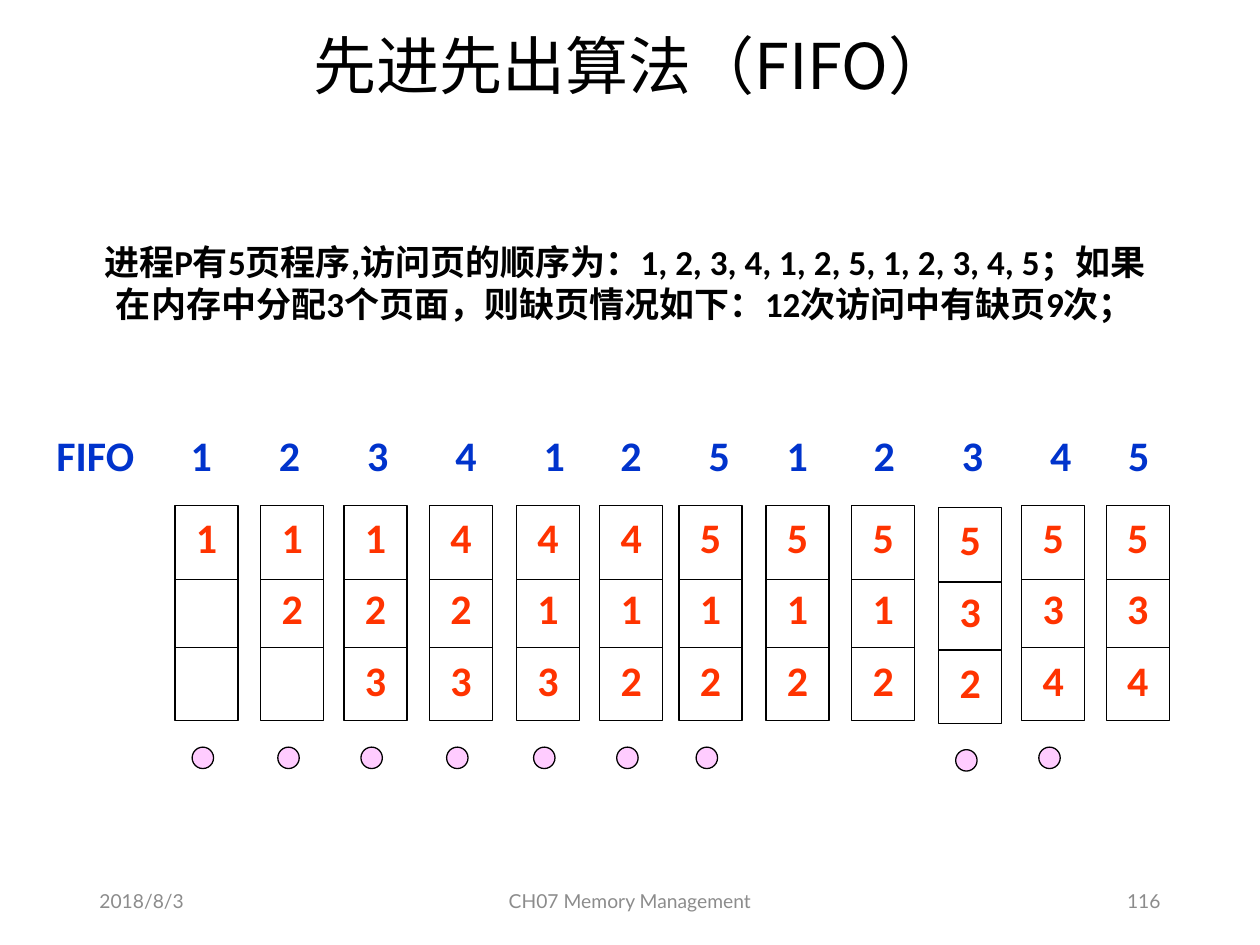
"""Build the FIFO page replacement slide."""
from lxml import etree
from pptx import Presentation
from pptx.dml.color import RGBColor
from pptx.enum.shapes import MSO_CONNECTOR, MSO_SHAPE
from pptx.enum.text import MSO_ANCHOR, PP_ALIGN
from pptx.oxml.ns import qn
from pptx.util import Inches, Pt

LEFT, CENTER, RIGHT = PP_ALIGN.LEFT, PP_ALIGN.CENTER, PP_ALIGN.RIGHT
TOP, MIDDLE = MSO_ANCHOR.TOP, MSO_ANCHOR.MIDDLE
RECT, OVAL = MSO_SHAPE.RECTANGLE, MSO_SHAPE.OVAL
STRAIGHT = MSO_CONNECTOR.STRAIGHT
COLORS = {"ink": "000000", "grey": "8C8C8C", "request": "0033CC",
          "page": "FF3300", "fault": "FFCCFF"}

prs = Presentation()
prs.slide_width, prs.slide_height = Inches(10), Inches(7.5)
s = prs.slides.add_slide(prs.slide_layouts[5])
U = prs.slide_width / 100


def grid(*cells):
    return [round(c * U) for c in cells]


def write(sp, lines, font, size, color, align=LEFT, anchor=TOP, bold=False, gap=0):
    tf = sp.text_frame
    tf.word_wrap = True
    tf.vertical_anchor = anchor
    for i, line in enumerate(lines):
        p = tf.paragraphs[0] if i == 0 else tf.add_paragraph()
        p.text = line
        p.alignment = align
        if i:
            p.space_before = Pt(gap)
        p.font.name, p.font.size, p.font.bold = font, Pt(size), bold
        p.font.color.rgb = RGBColor.from_string(COLORS[color])
    return tf


title = s.shapes.title
title.left, title.top, title.width, title.height = grid(7.1, 1.7, 86.2, 7.6)
tf = write(title, ["先进先出算法（FIFO）"], "Noto Sans CJK SC", 36, "ink", CENTER, MIDDLE)
tf.paragraphs[0].line_spacing = 0.9

for x, width, text, align in ((6.9, 22.5, "2018/8/3", LEFT),
                              (33.1, 33.8, "CH07 Memory Management", CENTER),
                              (70.6, 22.5, "116", RIGHT)):
    footer = s.shapes.add_textbox(*grid(x, 69.5, width, 4))
    write(footer, [text], "Lato", 11, "grey", align, MIDDLE)

problem = s.shapes.add_textbox(*grid(6.7, 18.6, 85.8, 7.7))
write(problem, ["进程P有5页程序,访问页的顺序为：1, 2, 3, 4, 1, 2, 5, 1, 2, 3, 4, 5；"
                "如果在内存中分配3个页面，则缺页情况如下：12次访问中有缺页9次；"],
      "Calibri", 20, "ink", CENTER, bold=True)

REQUESTS = "123412512345"
REQUEST_X = (16, 23, 30, 37, 44, 50.1, 57.1, 63.3, 70.2, 77.2, 84.2, 90.4)
COLUMN_X = (13.9, 20.7, 27.3, 34.1, 41, 47.6, 53.9, 60.8, 67.6, 74.5, 81.1, 87.8)
FRAMES, COLUMN_W, COLUMN_H, DOT = 3, 5, 17.1, 1.7

requests = s.shapes.add_textbox(*grid(3.5, 33.6, 90.6, 5))
tabs = etree.SubElement(requests.text_frame.paragraphs[0]._p.get_or_add_pPr(), qn("a:tabLst"))
for x in grid(*(x - 4.5 for x in REQUEST_X)):
    etree.SubElement(tabs, qn("a:tab"), pos=str(x), algn="ctr")
write(requests, ["\t".join(["FIFO", *REQUESTS])], "Calibri", 24, "request", bold=True)

frames, faults = [], 0
for i, (page, x) in enumerate(zip(REQUESTS, COLUMN_X)):
    fault = page not in frames
    if fault:
        slot = faults % FRAMES
        frames[slot:slot + 1] = [page]
        faults += 1
    y = 40.3 if i == 9 else 40.1
    group = s.shapes.add_group_shape()
    column = group.shapes.add_shape(RECT, *grid(x, y, COLUMN_W, COLUMN_H))
    column.fill.background()
    write(column, frames, "Calibri", 24, "page", CENTER, bold=True, gap=12)
    outlined = [column]
    for dy in (5.9, 11.3):
        rule = group.shapes.add_connector(STRAIGHT, *grid(x, y + dy, x + COLUMN_W, y + dy))
        etree.SubElement(rule._element.spPr, qn("a:effectLst"))
        outlined.append(rule)
    if fault:
        dot = group.shapes.add_shape(OVAL, *grid(x + 1.35, y + 19.2, DOT, DOT))
        dot.fill.solid()
        dot.fill.fore_color.rgb = RGBColor.from_string(COLORS["fault"])
        dot.shadow.inherit = False
        outlined.append(dot)
    column.shadow.inherit = False
    for sp in outlined:
        sp.line.width = Pt(0.75)
        sp.line.color.rgb = RGBColor.from_string(COLORS["ink"])

prs.save("out.pptx")
